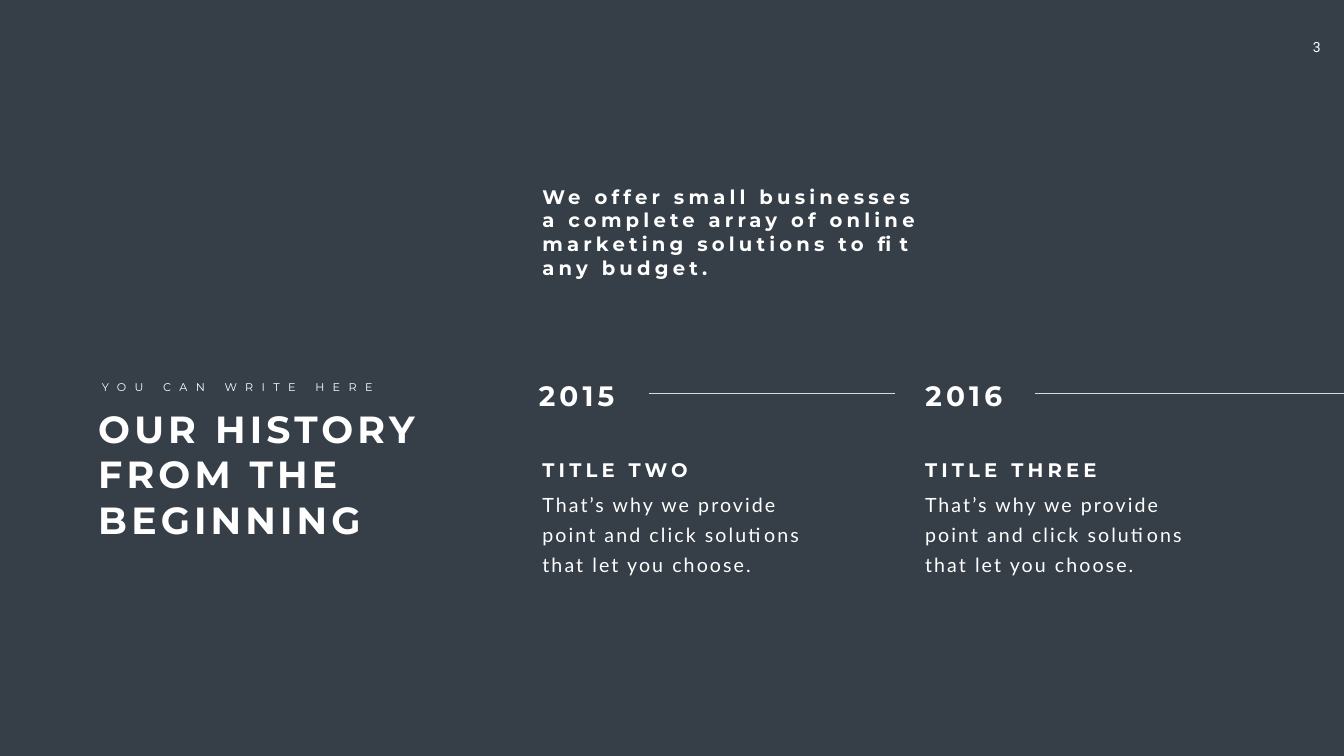
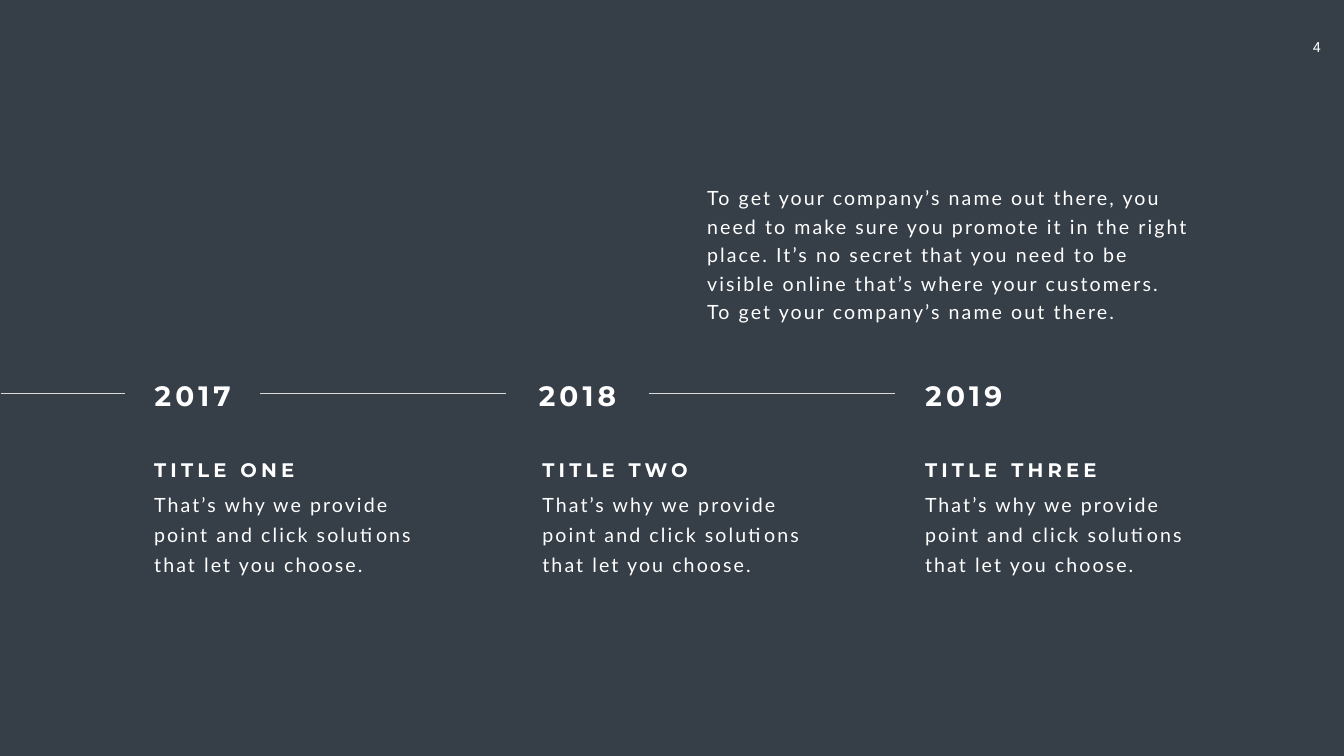
from dataclasses import dataclass

from lxml.etree import SubElement
from pptx import Presentation
from pptx.dml.color import RGBColor
from pptx.enum.shapes import MSO_CONNECTOR
from pptx.enum.text import MSO_AUTO_SIZE, PP_ALIGN
from pptx.oxml.ns import qn
from pptx.util import Cm, Pt


@dataclass(frozen=True)
class TextStyle:
    font: str
    size: float
    bold: bool = False
    tracking: float = 0  # points between letters
    leading: float = 0  # fixed line height in points, 0 for single


class Theme:
    background = RGBColor(0x36, 0x3E, 0x48)
    text = RGBColor(0xFF, 0xFF, 0xFF)
    line = RGBColor(0xD9, 0xD9, 0xD9)
    line_width = 0.5
    title = TextStyle("Montserrat", 54, True, 6)
    tagline = TextStyle("Montserrat", 16, tracking=12)
    year = TextStyle("Montserrat", 40, True, 6)
    heading = TextStyle("Montserrat", 28, True, 6)
    body = TextStyle("Lato", 28, tracking=3, leading=43)
    intro = TextStyle("Lato", 28, tracking=3, leading=40.8)
    page_number = TextStyle("Roboto", 20)


SLIDE_WIDTH, SLIDE_HEIGHT = 67.72, 38.1
TIMELINE_TOP = 19.84
# Left edges of the year and of the text below it, per timeline column
COLUMNS = [(7.54, 7.52), (26.9, 27.08), (46.38, 46.36)]
HEADINGS = ["TITLE ONE", "TITLE TWO", "TITLE THREE"]
MILESTONE_TEXT = "That’s why we provide point and click solutions that let you choose."


def add_text(shapes, text, style, left, top, width, height, wrap=True):
    box = shapes.add_textbox(Cm(left), Cm(top), Cm(width), Cm(height))
    frame = box.text_frame
    frame.word_wrap = wrap
    frame.auto_size = MSO_AUTO_SIZE.SHAPE_TO_FIT_TEXT
    paragraph = frame.paragraphs[0]
    if style.leading:
        paragraph.line_spacing = Pt(style.leading)
    run = paragraph.add_run()
    run.text = text
    run.font.name = style.font
    run.font.size = Pt(style.size)
    run.font.bold = style.bold
    run.font.color.rgb = Theme.text
    if style.tracking:
        run._r.get_or_add_rPr().set("spc", str(round(style.tracking * 100)))
    return box


def add_timeline_line(slide, start, end):
    connector = slide.shapes.add_connector(
        MSO_CONNECTOR.STRAIGHT, Cm(start), Cm(TIMELINE_TOP), Cm(end), Cm(TIMELINE_TOP))
    connector.line.color.rgb = Theme.line
    connector.line.width = Pt(Theme.line_width)
    SubElement(connector._element.spPr, qn("a:effectLst"))


def add_milestone(slide, column, year):
    year_left, text_left = COLUMNS[column]
    shapes = slide.shapes.add_group_shape().shapes
    add_text(shapes, MILESTONE_TEXT, Theme.body, text_left, 24.38, 13.84, 4.7)
    add_text(shapes, HEADINGS[column], Theme.heading, text_left, 22.94, 11.2, 1.45)
    add_text(shapes, year, Theme.year, year_left, 18.95, 8.28, 1.96)


def add_title_block(slide, title, tagline):
    shapes = slide.shapes.add_group_shape().shapes
    add_text(shapes, title, Theme.title, 4.7, 20.32, 16.94, 7.19)
    add_text(shapes, tagline, Theme.tagline, 4.88, 19.05, 14.68, 0.94, wrap=False)


def add_slide(presentation, page_number):
    slide = presentation.slides.add_slide(presentation.slide_layouts[6])
    box = add_text(slide.shapes, str(page_number), Theme.page_number,
                   65.07, 1.7, 2.57, 1.37)
    frame = box.text_frame
    frame.margin_left = frame.margin_right = Cm(0.51)
    frame.margin_top = frame.margin_bottom = Cm(0.25)
    frame.paragraphs[0].alignment = PP_ALIGN.CENTER
    return slide


def build_history_start(presentation):
    slide = add_slide(presentation, 3)
    add_title_block(slide, "OUR HISTORY FROM THE BEGINNING", "YOU CAN WRITE HERE")
    for column, year in enumerate(["2015", "2016"], start=1):
        add_milestone(slide, column, year)
    for start, end in [(32.69, 45.09), (52.15, SLIDE_WIDTH)]:
        add_timeline_line(slide, start, end)
    add_text(slide.shapes,
             "We offer small businesses a complete array of online "
             "marketing solutions to fit any budget.",
             Theme.heading, 27.08, 9.19, 20.37, 5.05)


def build_history_end(presentation):
    slide = add_slide(presentation, 4)
    for column, year in enumerate(["2017", "2018", "2019"]):
        add_milestone(slide, column, year)
    add_text(slide.shapes,
             "To get your company’s name out there, you need to make sure you "
             "promote it in the right place. It’s no secret that you need to be "
             "visible online that’s where your customers. "
             "To get your company’s name out there.",
             Theme.intro, 35.38, 8.99, 24.82, 7.42)
    for start, end in [(0.05, 6.3), (13.11, 25.5), (32.69, 45.09)]:
        add_timeline_line(slide, start, end)


def main():
    presentation = Presentation()
    presentation.slide_width = Cm(SLIDE_WIDTH)
    presentation.slide_height = Cm(SLIDE_HEIGHT)

    # Shared background
    fill = presentation.slide_master.background.fill
    fill.solid()
    fill.fore_color.rgb = Theme.background

    build_history_start(presentation)
    build_history_end(presentation)
    presentation.save("out.pptx")


if __name__ == "__main__":
    main()
